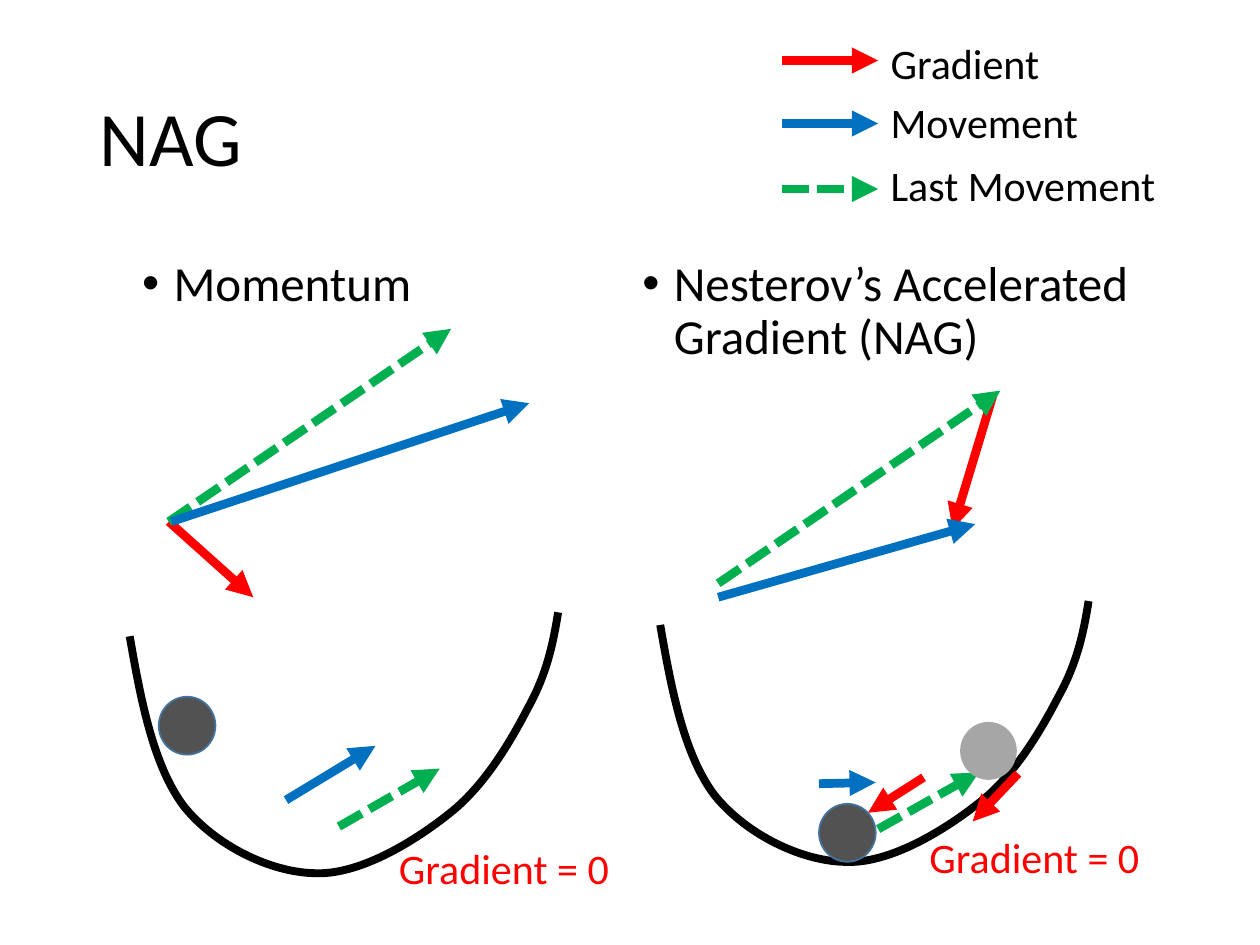
from dataclasses import dataclass

from lxml.etree import SubElement
from pptx import Presentation
from pptx.dml.color import RGBColor as RGB
from pptx.enum.dml import MSO_LINE_DASH_STYLE as Dash
from pptx.enum.shapes import MSO_CONNECTOR as Link, MSO_SHAPE as Shape
from pptx.enum.text import MSO_ANCHOR as Anchor, PP_ALIGN as Align
from pptx.oxml.ns import qn
from pptx.util import Pt

PX = 9144  # EMU in one px, 100 px to the inch


@dataclass(frozen=True)
class Theme:
    font: str = "Calibri"
    ink: str = "000000"
    red: str = "FF0000"
    blue: str = "0070C0"
    green: str = "00B050"
    ball: str = "525252"
    ghost: str = "A6A6A6"
    rim: str = "43739E"
    title: int = 44
    body: int = 28
    label: int = 24
    arrow: float = 5
    bowl: float = 4.5


T = Theme()

TITLE = ("NAG", (69, 40, 862, 145))
HEADS = [
    ("Momentum", (103, 201, 425, 476)),
    ("Nesterov’s Accelerated Gradient (NAG)", (500, 201, 425, 476)),
]
# label, colour, text top, text width, arrow height
LEGEND = [
    ("Gradient", T.red, 25, 210, 48),
    ("Movement", T.blue, 72, 210, 98),
    ("Last Movement", T.green, 122, 254, 150),
]
KEY_LEFT, KEY_RIGHT = 621, 697

# colour, x and y of the start, x and y of the tip
VECTORS = [
    (T.red, 134, 414, 201, 474),
    (T.green, 134, 414, 358, 261),
    (T.blue, 136, 414, 420, 320),
    (T.red, 788, 314, 756, 420),
    (T.green, 570, 463, 794, 310),
    (T.blue, 570, 474, 774, 416),
]
LAST_STEPS = [
    (T.green, 269, 656, 349, 610),
    (T.green, 697, 658, 777, 613),
]
STEPS = [
    (T.blue, 227, 635, 298, 592),
    (T.red, 808, 614, 772, 652),
    (T.red, 733, 617, 689, 645),
    (T.blue, 650, 622, 695, 621),
]

# start, then three Bezier points for each curve
BOWL = [
    (103, 505),
    (112, 557), (122, 608), (146, 640),
    (171, 671), (214, 692), (249, 693),
    (284, 695), (327, 669), (355, 647),
    (384, 625), (405, 589), (419, 562),
    (434, 535), (439, 511), (443, 486),
]
SHIFTS = [(0, 0), (421, -9)]
BALLS = [
    (126, 553, T.ball, T.rim),
    (650, 638, T.ball, T.rim),
    (762, 573, T.ghost, None),
]
BALL_SIZE = (45, 46)
ZERO, ZERO_AT, ZERO_SIZE = "Gradient = 0", (295, 664), (210, 50)


def emu(*px):
    return [round(n * PX) for n in px]


def add_text(shapes, text, box, size, color=T.ink, align=Align.LEFT):
    frame = shapes.add_textbox(*emu(*box)).text_frame
    frame.word_wrap = True
    frame.text = text
    par = frame.paragraphs[0]
    par.alignment = align
    font = par.runs[0].font
    font.name, font.size = T.font, Pt(size)
    font.color.rgb = RGB.from_string(color)
    return frame


def add_bullet(par):
    par.line_spacing, par.space_before = 0.9, Pt(10)
    props = par._p.get_or_add_pPr()
    props.set("marL", str(25 * PX))
    props.set("indent", str(-25 * PX))
    SubElement(props, qn("a:buFont")).set("typeface", "Arial")
    SubElement(props, qn("a:buChar")).set("char", "•")


def add_arrow(shapes, color, *ends):
    arrow = shapes.add_connector(Link.STRAIGHT, *emu(*ends))
    line = arrow.line
    line.width = Pt(T.arrow)
    line.color.rgb = RGB.from_string(color)
    if color == T.green:
        line.dash_style = Dash.SQUARE_DOT
    SubElement(line._get_or_add_ln(), qn("a:tailEnd")).set("type", "triangle")
    SubElement(arrow._element.spPr, qn("a:effectLst"))


def add_bowl(shapes, dx, dy):
    """Draw the points as a polyline, then turn each three lines into a curve."""
    points = [emu(x + dx, y + dy) for x, y in BOWL]
    form = shapes.build_freeform(*points[0])
    form.add_line_segments(points[1:], close=False)
    bowl = form.convert_to_shape()
    bowl.shadow.inherit = False
    bowl.fill.background()
    bowl.line.width = Pt(T.bowl)
    bowl.line.color.rgb = RGB.from_string(T.ink)
    lines = list(bowl._element.iter(qn("a:lnTo")))
    outline = lines[0].getparent()
    for i in range(0, len(lines), 3):
        curve = SubElement(outline, qn("a:cubicBezTo"))
        for line in lines[i:i + 3]:
            curve.append(line[0])
            outline.remove(line)


def add_ball(shapes, x, y, fill, rim):
    ball = shapes.add_shape(Shape.OVAL, *emu(x, y, *BALL_SIZE))
    ball.shadow.inherit = False
    ball.fill.solid()
    ball.fill.fore_color.rgb = RGB.from_string(fill)
    if rim:
        ball.line.width = Pt(1)
        ball.line.color.rgb = RGB.from_string(rim)
    else:
        ball.line.fill.background()


def main():
    deck = Presentation()
    deck.slide_width, deck.slide_height = emu(1000, 750)
    shapes = deck.slides.add_slide(deck.slide_layouts[6]).shapes

    title = add_text(shapes, *TITLE, T.title)
    title.vertical_anchor = Anchor.MIDDLE
    title.paragraphs[0].line_spacing = 0.9
    for text, box in HEADS:
        add_bullet(add_text(shapes, text, box, T.body).paragraphs[0])

    for text, color, top, width, y in LEGEND:
        add_arrow(shapes, color, KEY_LEFT, y, KEY_RIGHT, y)
        add_text(shapes, text, (KEY_RIGHT, top, width, 50), T.label)

    for vector in VECTORS:
        add_arrow(shapes, *vector)

    for dx, dy in SHIFTS:
        add_bowl(shapes, dx, dy)
        box = (ZERO_AT[0] + dx, ZERO_AT[1] + dy, *ZERO_SIZE)
        add_text(shapes, ZERO, box, T.label, T.red, Align.CENTER)

    for step in LAST_STEPS:
        add_arrow(shapes, *step)
    for ball in BALLS:
        add_ball(shapes, *ball)
    for step in STEPS:
        add_arrow(shapes, *step)

    deck.save("out.pptx")


if __name__ == "__main__":
    main()
